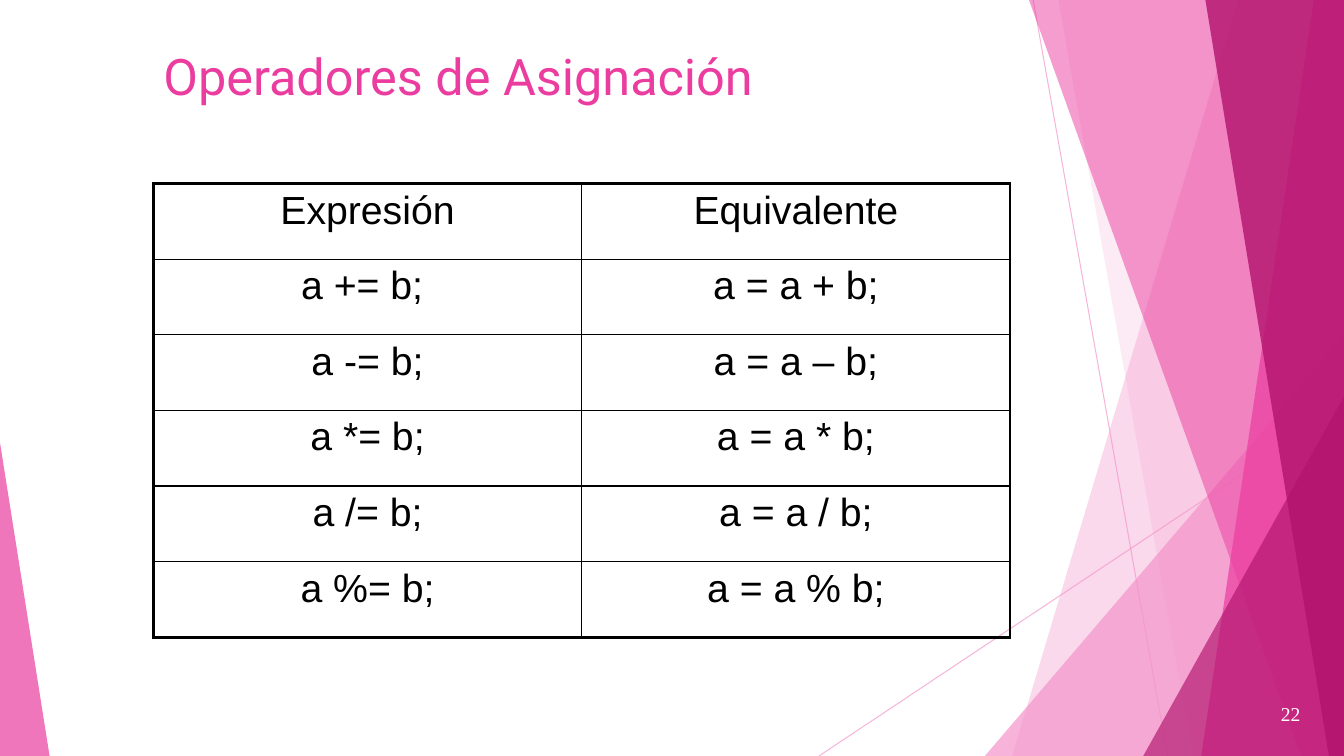
from dataclasses import dataclass

from lxml.etree import SubElement
from pptx import Presentation
from pptx.dml.color import RGBColor
from pptx.enum.shapes import MSO_CONNECTOR, MSO_SHAPE
from pptx.enum.text import MSO_ANCHOR, MSO_AUTO_SIZE, PP_ALIGN
from pptx.oxml import parse_xml
from pptx.oxml.ns import nsdecls, qn
from pptx.util import Inches, Pt

COLUMNS, ROWS = 160, 90
TITLE_ONLY = 5


@dataclass(frozen=True)
class Theme:
    light: str = "F496CB"
    accent: str = "EB3D9F"
    dark: str = "B2136D"
    ink: str = "000000"
    paper: str = "FFFFFF"
    title_font: str = "Roboto"
    table_font: str = "Arial"
    number_font: str = "Times New Roman"
    title_size: float = 36
    table_size: float = 28
    number_size: float = 14
    hairline: float = 0.75
    inner_border: float = 1
    outer_border: float = 2.25


class SlideBuilder:
    """Places elements on a grid of COLUMNS by ROWS."""

    def __init__(self, presentation, theme):
        self.theme = theme
        self.width = presentation.slide_width
        self.height = presentation.slide_height
        self.slide = presentation.slides.add_slide(
            presentation.slide_layouts[TITLE_ONLY])
        self.shapes = self.slide.shapes

    def point(self, column, row):
        return (round(self.width * column / COLUMNS),
                round(self.height * row / ROWS))

    def box(self, column, row, columns, rows):
        return *self.point(column, row), *self.point(columns, rows)

    def set_opacity(self, properties, percent):
        color = properties.find(".//" + qn("a:srgbClr"))
        SubElement(color, qn("a:alpha")).set("val", str(percent * 1000))

    def paint(self, shape, color, opacity):
        shape.shadow.inherit = False
        shape.fill.solid()
        shape.fill.fore_color.rgb = RGBColor.from_string(color)
        shape.line.fill.background()
        self.set_opacity(shape.element.spPr, opacity)

    def line(self, start, end):
        connector = self.shapes.add_connector(
            MSO_CONNECTOR.STRAIGHT, *self.point(*start), *self.point(*end))
        connector.line.color.rgb = RGBColor.from_string(self.theme.light)
        connector.line.width = Pt(self.theme.hairline)
        properties = connector.element.spPr
        self.set_opacity(properties, 70)
        SubElement(properties, qn("a:effectLst"))

    def band(self, top, bottom, color, opacity):
        """Full-height band from a slanted left edge to the slide's right edge."""
        builder = self.shapes.build_freeform(*self.point(top, 0))
        corners = [(COLUMNS, 0), (COLUMNS, ROWS), (bottom, ROWS)]
        builder.add_line_segments([self.point(*corner) for corner in corners])
        self.paint(builder.convert_to_shape(), color, opacity)

    def corner(self, column, row, columns, apex, color, opacity):
        """Right triangle standing on the slide's bottom edge."""
        triangle = self.shapes.add_shape(
            MSO_SHAPE.ISOSCELES_TRIANGLE,
            *self.box(column, row, columns, ROWS - row))
        triangle.adjustments[0] = apex
        self.paint(triangle, color, opacity)

    def set_text(self, frame, text, font, size, color, align):
        frame.text = text
        frame.word_wrap = True
        paragraph = frame.paragraphs[0]
        paragraph.alignment = align
        for run in paragraph.runs:
            run.font.name = font
            run.font.size = Pt(size)
            run.font.color.rgb = RGBColor.from_string(color)

    def title(self, text, *area):
        title = self.shapes.title
        title.left, title.top, title.width, title.height = self.box(*area)
        frame = title.text_frame
        self.set_text(frame, text, self.theme.title_font,
                      self.theme.title_size, self.theme.accent, PP_ALIGN.LEFT)
        frame.auto_size = MSO_AUTO_SIZE.NONE
        frame.vertical_anchor = MSO_ANCHOR.TOP

    def border(self, cell, outer_sides):
        properties = cell._tc.get_or_add_tcPr()
        for index, side in enumerate("LRTB"):
            width = (self.theme.outer_border if side in outer_sides
                     else self.theme.inner_border)
            properties.insert(index, parse_xml(
                f'<a:ln{side} {nsdecls("a")} w="{Pt(width)}"><a:solidFill>'
                f'<a:srgbClr val="{self.theme.ink}"/></a:solidFill></a:ln{side}>'))

    def table(self, rows, *area):
        last_row, last_column = len(rows) - 1, len(rows[0]) - 1
        table = self.shapes.add_table(
            len(rows), len(rows[0]), *self.box(*area)).table
        table.first_row = table.horz_banding = False
        for row, texts in enumerate(rows):
            for column, text in enumerate(texts):
                cell = table.cell(row, column)
                self.set_text(cell.text_frame, text, self.theme.table_font,
                              self.theme.table_size, self.theme.ink,
                              PP_ALIGN.CENTER)
                cell.fill.background()
                edges = {"L": column == 0, "R": column == last_column,
                         "T": row == 0, "B": row == last_row}
                self.border(cell, [side for side in edges if edges[side]])

    def page_number(self, text, *area):
        frame = self.shapes.add_textbox(*self.box(*area)).text_frame
        self.set_text(frame, text, self.theme.number_font,
                      self.theme.number_size, self.theme.paper, PP_ALIGN.RIGHT)
        frame.vertical_anchor = MSO_ANCHOR.MIDDLE


def add_backdrop(builder):
    theme = builder.theme
    builder.line((123, 0), (139, ROWS))
    builder.line((COLUMNS, 48.4), (97.5, ROWS))
    builder.band(147.4, 120.5, theme.light, 36)
    builder.band(126, 142, theme.light, 20)
    builder.corner(117.25, 40, 42.75, 1, theme.light, 72)
    builder.band(122.5, 154.9, theme.accent, 50)
    builder.band(156.4, 143, theme.accent, 70)
    builder.band(143.5, 158.2, theme.dark, 80)
    builder.corner(136.1, 47.2, 23.9, 1, theme.dark, 66)
    builder.corner(0, 52.7, 5.9, 0, theme.accent, 70)


def main():
    presentation = Presentation()
    presentation.slide_width = Inches(13.33)
    presentation.slide_height = Inches(7.5)
    builder = SlideBuilder(presentation, Theme())
    add_backdrop(builder)
    builder.title("Operadores de Asignación", 18.25, 4.8, 102, 15)
    builder.table([
        ("Expresión", "Equivalente"),
        ("a += b; ", "a = a + b;"),
        ("a -= b;", "a = a – b;"),
        ("a *= b;", "a = a * b;"),
        ("a /= b;", "a = a / b;"),
        ("a %= b;", "a = a % b;"),
    ], 18.25, 21.85, 102, 54)
    builder.page_number("22", 122.6, 82, 33.4, 6)
    presentation.save("out.pptx")


if __name__ == "__main__":
    main()
